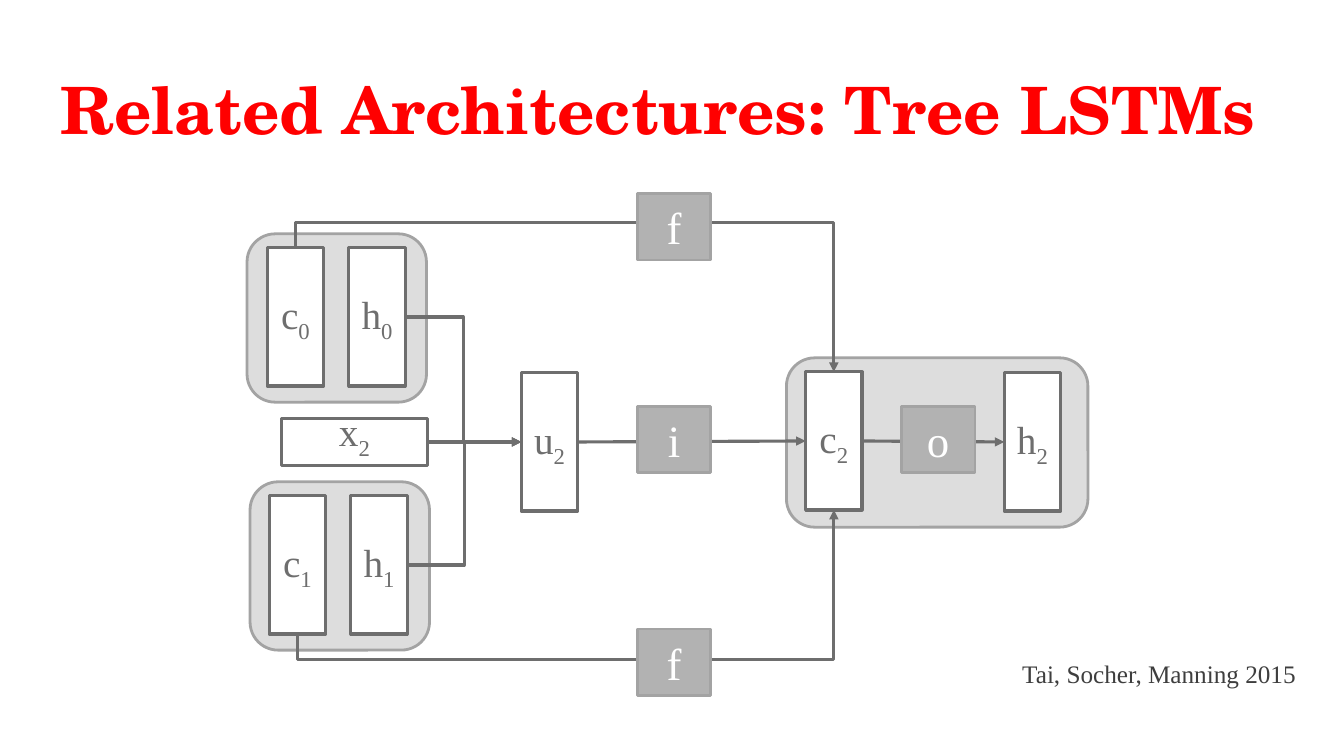
from dataclasses import dataclass
from typing import NamedTuple

from lxml.etree import SubElement
from pptx import Presentation
from pptx.dml.color import RGBColor
from pptx.enum.shapes import MSO_CONNECTOR, MSO_SHAPE
from pptx.enum.text import MSO_ANCHOR, PP_ALIGN
from pptx.oxml.ns import qn
from pptx.util import Inches, Length, Pt


@dataclass(frozen=True)
class Theme:
    title_font: str = "TeX Gyre Schola"
    body_font: str = "Times New Roman"
    title_color: str = "FF0000"
    ink: str = "6E6E6E"
    credit_color: str = "3E3E3E"
    white: str = "FFFFFF"
    panel_fill: str = "DDDDDD"
    gate_fill: str = "B2B2B2"
    soft_line: str = "A3A3A3"
    title_size: float = 46.6
    node_size: float = 28
    gate_size: float = 32
    credit_size: float = 18
    ink_width: float = 2.25
    soft_width: float = 2


class Area(NamedTuple):
    """Left, top, width and height in grid columns and rows."""
    left: float
    top: float
    width: float
    height: float


class Style(NamedTuple):
    shape: MSO_SHAPE
    fill: str
    line: str
    line_width: float


class Node(NamedTuple):
    letter: str
    index: str
    area: Area
    anchor: MSO_ANCHOR = MSO_ANCHOR.MIDDLE


class State(NamedTuple):
    """A panel holding a memory cell c and a hidden vector h."""
    index: str
    panel: Area
    cell_left: float
    cell_top: float
    hidden_left: float
    hidden_top: float


class Gate(NamedTuple):
    letter: str
    left: float
    top: float


class Arrow(NamedTuple):
    start: str
    start_side: int
    end: str
    end_side: int
    kind: MSO_CONNECTOR = MSO_CONNECTOR.STRAIGHT


class Detour(NamedTuple):
    """An elbow arrow that leaves and enters on the same outer side."""
    start: str
    end: str
    side: int
    rotation: int
    flips: tuple[str, ...]


THEME = Theme()
CELL = Inches(0.1)  # one grid column or row
TOP, LEFT, BOTTOM, RIGHT = range(4)
DETOUR_ADJUST = -20400

PANEL = Style(MSO_SHAPE.ROUNDED_RECTANGLE, THEME.panel_fill, THEME.soft_line, THEME.soft_width)
VECTOR = Style(MSO_SHAPE.RECTANGLE, THEME.white, THEME.ink, THEME.ink_width)
GATE = Style(MSO_SHAPE.RECTANGLE, THEME.gate_fill, THEME.soft_line, THEME.soft_width)

VECTOR_SIZE = (5.6, 13.7)
GATE_SIZE = (7.3, 6.6)
STATES = [
    State("0", Area(24.5, 23.2, 17.8, 16.7), 2, 1.4, 10.1, 1.4),
    State("1", Area(24.8, 47.8, 17.8, 16.7), 1.9, 1.4, 10, 1.4),
    State("2", Area(78, 35.5, 29.9, 16.8), 1.9, 1.4, 21.6, 1.5),
]
INPUTS = [
    Node("x", "2", Area(27.9, 41.5, 14.5, 4.7), MSO_ANCHOR.BOTTOM),
    Node("u", "2", Area(51.7, 37, *VECTOR_SIZE)),
]
ARROWS = [
    Arrow("h0", RIGHT, "u2", LEFT, MSO_CONNECTOR.ELBOW),
    Arrow("h1", RIGHT, "u2", LEFT, MSO_CONNECTOR.ELBOW),
    Arrow("x2", RIGHT, "u2", LEFT),
    Arrow("c2", RIGHT, "h2", LEFT),
    Arrow("u2", RIGHT, "c2", LEFT),
]
DETOURS = [
    Detour("c0", "c2", TOP, 270, ("flipH",)),
    Detour("c1", "c2", BOTTOM, 90, ("flipH", "flipV")),
]
GATES = [Gate("i", 63.2, 40.3), Gate("o", 89.4, 40.3), Gate("f", 63.2, 62.4), Gate("f", 63.2, 19.2)]


def place(area: Area) -> list[Length]:
    return [Length(round(cells * CELL)) for cells in area]


def add_span(para, text: str, size: float, color: str, font: str = THEME.body_font):
    span = para.add_run()
    span.text = text
    span.font.name = font
    span.font.size = Pt(size)
    span.font.color.rgb = RGBColor.from_string(color)
    return span


def add_box(page, style: Style, area: Area, anchor: MSO_ANCHOR = MSO_ANCHOR.MIDDLE):
    box = page.shapes.add_shape(style.shape, *place(area))
    box.shadow.inherit = False
    box.fill.solid()
    box.fill.fore_color.rgb = RGBColor.from_string(style.fill)
    box.line.color.rgb = RGBColor.from_string(style.line)
    box.line.width = Pt(style.line_width)
    box.text_frame.vertical_anchor = anchor
    box.text_frame.paragraphs[0].alignment = PP_ALIGN.CENTER
    return box


def add_node(page, node: Node):
    box = add_box(page, VECTOR, node.area, node.anchor)
    para = box.text_frame.paragraphs[0]
    add_span(para, node.letter, THEME.node_size, THEME.ink)
    subscript = add_span(para, node.index, THEME.node_size, THEME.ink)
    subscript.font._element.set("baseline", "-25000")
    return box


def add_arrow(page, boxes: dict, arrow: Arrow):
    line = page.shapes.add_connector(arrow.kind, 0, 0, 0, 0)
    line.begin_connect(boxes[arrow.start], arrow.start_side)
    line.end_connect(boxes[arrow.end], arrow.end_side)
    line.line.color.rgb = RGBColor.from_string(THEME.ink)
    line.line.width = Pt(THEME.ink_width)
    SubElement(line.line._get_or_add_ln(), qn("a:tailEnd"), type="triangle")
    SubElement(line._element.spPr, qn("a:effectLst"))
    return line


def add_detour(page, boxes: dict, detour: Detour) -> None:
    arrow = Arrow(detour.start, detour.side, detour.end, detour.side, MSO_CONNECTOR.ELBOW)
    line = add_arrow(page, boxes, arrow)
    # Swap the extents around the centre, then turn the frame
    center_x, center_y = (line.begin_x + line.end_x) // 2, (line.begin_y + line.end_y) // 2
    width, height = abs(line.end_y - line.begin_y), abs(line.end_x - line.begin_x)
    line.left, line.top = center_x - width // 2, center_y - height // 2
    line.width, line.height = width, height
    properties = line._element.spPr
    frame = properties.find(qn("a:xfrm"))
    for flip in ("flipH", "flipV"):
        frame.set(flip, "1" if flip in detour.flips else "0")
    frame.set("rot", str(detour.rotation * 60000))
    guides = properties.find(qn("a:prstGeom")).find(qn("a:avLst"))
    SubElement(guides, qn("a:gd"), name="adj1", fmla=f"val {DETOUR_ADJUST}")


def add_text(page, area: Area, anchor: MSO_ANCHOR, alignment: PP_ALIGN):
    box = page.shapes.add_textbox(*place(area))
    box.text_frame.word_wrap = True
    box.text_frame.vertical_anchor = anchor
    para = box.text_frame.paragraphs[0]
    para.alignment = alignment
    return para


def main() -> None:
    deck = Presentation()
    deck.slide_width, deck.slide_height = Inches(13.33), Inches(7.5)
    page = deck.slides.add_slide(deck.slide_layouts[6])

    # Title
    para = add_text(page, Area(3.7, 5.7, 123, 10.2), MSO_ANCHOR.MIDDLE, PP_ALIGN.CENTER)
    title = add_span(para, "Related Architectures: Tree LSTMs",
                     THEME.title_size, THEME.title_color, THEME.title_font)
    title.font.bold = True

    # States and inputs
    nodes = list(INPUTS)
    for state in STATES:
        add_box(page, PANEL, state.panel)
        left, top = state.panel.left, state.panel.top
        nodes += [
            Node("c", state.index, Area(left + state.cell_left, top + state.cell_top, *VECTOR_SIZE)),
            Node("h", state.index, Area(left + state.hidden_left, top + state.hidden_top, *VECTOR_SIZE)),
        ]
    boxes = {node.letter + node.index: add_node(page, node) for node in nodes}

    # Arrows, with the gates on top of them
    for arrow in ARROWS:
        add_arrow(page, boxes, arrow)
    for detour in DETOURS:
        add_detour(page, boxes, detour)
    for gate in GATES:
        box = add_box(page, GATE, Area(gate.left, gate.top, *GATE_SIZE))
        add_span(box.text_frame.paragraphs[0], gate.letter, THEME.gate_size, THEME.white)

    # Credit
    para = add_text(page, Area(100.4, 64.8, 30.8, 4), MSO_ANCHOR.TOP, PP_ALIGN.LEFT)
    add_span(para, "Tai, Socher, Manning 2015", THEME.credit_size, THEME.credit_color)

    deck.save("out.pptx")


if __name__ == "__main__":
    main()
